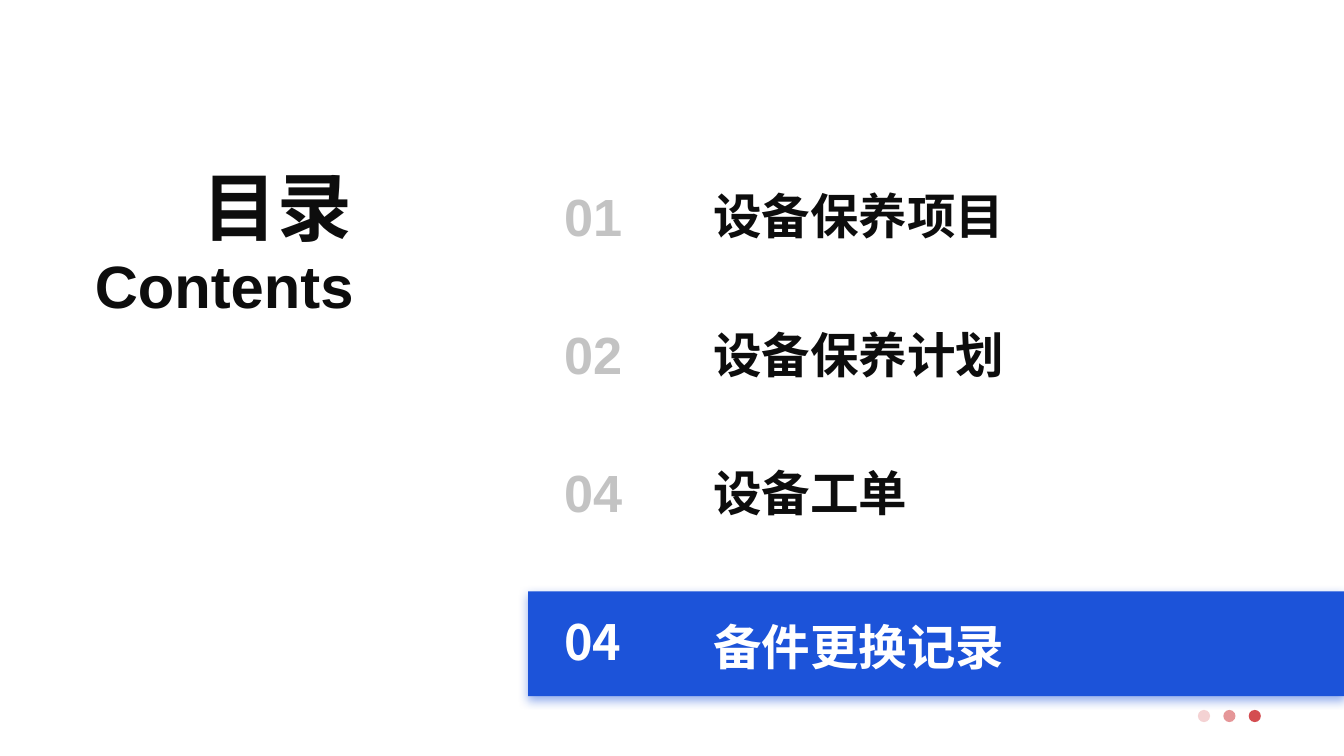
"""Build a contents slide whose last entry is highlighted."""
from dataclasses import dataclass

from lxml import etree
from pptx import Presentation
from pptx.dml.color import RGBColor
from pptx.enum import shapes, text
from pptx.oxml import ns
from pptx.util import Cm, Pt

CJK, LATIN = "Noto Sans CJK SC", "Arial"
INK, GRAY, WHITE, BLUE, RED = "0D0D0D", "C3C3C3", "FFFFFF", "1C53D9", "D44D51"
NUMBER_LEFT, LABEL_LEFT = 10.41, 13.23
FIRST_ROW_TOP, ROW_PITCH = 3.35, 2.61
DOT_SIZE, DOT_PITCH = 0.23, 0.48


@dataclass(frozen=True)
class Style:
    font: str
    size: int
    color: str
    align: text.PP_ALIGN = text.PP_ALIGN.LEFT


@dataclass(frozen=True)
class Entry:
    number: str
    label: str
    label_width: float


def rgb(value: str) -> RGBColor:
    return RGBColor.from_string(value)


def write(box, words: str, style: Style, wrap: bool = False) -> None:
    frame = box.text_frame
    frame.text = words
    frame.word_wrap = wrap
    frame.auto_size = text.MSO_AUTO_SIZE.SHAPE_TO_FIT_TEXT
    frame.vertical_anchor = text.MSO_ANCHOR.TOP
    paragraph = frame.paragraphs[0]
    paragraph.alignment = style.align
    font = paragraph.font
    font.size, font.bold, font.name = Pt(style.size), True, style.font
    font.color.rgb = rgb(style.color)
    latin = paragraph._p.find(f".//{ns.qn('a:latin')}")
    latin.addnext(latin.makeelement(ns.qn("a:ea"), {"typeface": style.font}))


def add_words(slide, left: float, top: float, width: float, height: float,
              words: str, style: Style, wrap: bool = False) -> None:
    box = slide.shapes.add_textbox(Cm(left), Cm(top), Cm(width), Cm(height))
    write(box, words, style, wrap)


def add_filled(slide, kind: shapes.MSO_SHAPE, left: float, top: float,
               width: float, height: float, color: str, opacity: int = 100):
    shape = slide.shapes.add_shape(kind, Cm(left), Cm(top), Cm(width), Cm(height))
    shape.shadow.inherit = False
    shape.fill.solid()
    shape.fill.fore_color.rgb = rgb(color)
    shape.line.fill.background()
    if opacity < 100:
        fill_color = shape._element.spPr.find(f".//{ns.qn('a:srgbClr')}")
        etree.SubElement(fill_color, ns.qn("a:alpha"), val=str(opacity * 1000))
    return shape


def add_shadow(shape, color: str, opacity: int, blur: int, distance: int) -> None:
    effects = shape._element.spPr.find(ns.qn("a:effectLst"))
    shadow = etree.SubElement(
        effects, ns.qn("a:outerShdw"), blurRad=str(Pt(blur)), dist=str(Pt(distance)),
        dir="5400000", algn="t", rotWithShape="0")
    shadow_color = etree.SubElement(shadow, ns.qn("a:srgbClr"), val=color)
    etree.SubElement(shadow_color, ns.qn("a:alpha"), val=str(opacity * 1000))


def add_heading(slide) -> None:
    title = slide.shapes.title
    title.left, title.top, title.width, title.height = Cm(3.52), Cm(2.92), Cm(3.38), Cm(1.96)
    write(title, "目录", Style(CJK, 40, INK, text.PP_ALIGN.RIGHT))
    add_words(slide, 1.5, 4.57, 5.44, 1.63, "Contents",
              Style(LATIN, 32, INK, text.PP_ALIGN.RIGHT))


def add_entry(slide, entry: Entry, top: float) -> None:
    add_words(slide, NUMBER_LEFT, top, 1.75, 1.45, entry.number,
              Style(LATIN, 28, GRAY), wrap=True)
    add_words(slide, LABEL_LEFT, top + 0.05, entry.label_width, 1.37, entry.label,
              Style(CJK, 26, INK))


def add_current_entry(slide, entry: Entry) -> None:
    band = add_filled(slide, shapes.MSO_SHAPE.RECTANGLE, 9.98, 11.18, 15.42, 1.98, BLUE)
    add_shadow(band, BLUE, opacity=46, blur=5, distance=2)
    style = Style(CJK, 26, WHITE)
    add_words(slide, NUMBER_LEFT, 11.45, 1.65, 1.37, entry.number, style)
    add_words(slide, LABEL_LEFT, 11.54, entry.label_width, 1.37, entry.label, style)


def main() -> None:
    deck = Presentation()
    deck.slide_width, deck.slide_height = Cm(25.4), Cm(14.29)
    slide = deck.slides.add_slide(deck.slide_layouts[5])
    add_heading(slide)

    entries = [Entry("01", "设备保养项目", 6.06),
               Entry("02", "设备保养计划", 6.06),
               Entry("04", "设备工单", 4.24)]
    for row, entry in enumerate(entries):
        add_entry(slide, entry, FIRST_ROW_TOP + row * ROW_PITCH)
    add_current_entry(slide, Entry("04", "备件更换记录", 6.06))

    for place, opacity in enumerate((25, 59, 100)):
        add_filled(slide, shapes.MSO_SHAPE.OVAL, 22.64 + place * DOT_PITCH, 13.42,
                   DOT_SIZE, DOT_SIZE, RED, opacity)
    deck.save("out.pptx")


if __name__ == "__main__":
    main()
